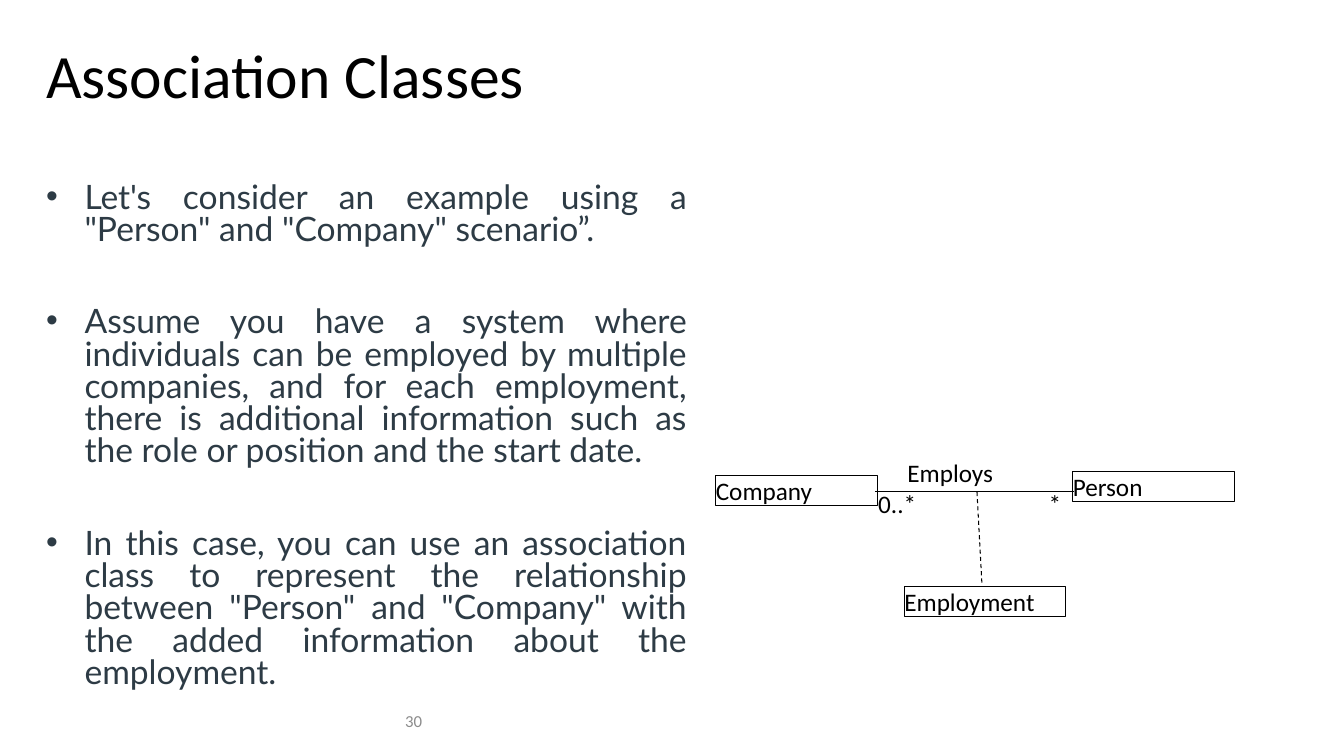
"""Build the Association Classes slide with its small class diagram."""
from dataclasses import dataclass

from lxml.etree import SubElement
from pptx import Presentation
from pptx.dml.color import RGBColor
from pptx.enum.dml import MSO_LINE_DASH_STYLE as Dash
from pptx.enum.shapes import MSO_CONNECTOR as Connector, MSO_SHAPE as Preset
from pptx.enum.text import MSO_ANCHOR as Anchor, PP_ALIGN as Align
from pptx.oxml.ns import qn
from pptx.shapes.base import BaseShape
from pptx.slide import Slide
from pptx.text.text import TextFrame, _Paragraph as Paragraph
from pptx.util import Inches, Pt


@dataclass(frozen=True)
class TextStyle:
    font: str
    size: float
    color: RGBColor


@dataclass(frozen=True)
class Theme:
    black: RGBColor = RGBColor(0, 0, 0)
    title: TextStyle = TextStyle("Calibri", 44, RGBColor(0, 0, 0))
    body: TextStyle = TextStyle("Lato", 24, RGBColor(0x2D, 0x3B, 0x45))
    diagram: TextStyle = TextStyle("Calibri", 18, RGBColor(0, 0, 0))
    number: TextStyle = TextStyle("Calibri", 12, RGBColor(0x8C, 0x8C, 0x8C))
    line_width: float = 0.75
    bullet_gap: float = 43
    bullet_indent: float = 0.38


@dataclass(frozen=True)
class Box:
    text: str
    left: float
    top: float
    width: float = 1.6
    height: float = 0.3


@dataclass(frozen=True)
class Link:
    start: tuple[float, float]
    end: tuple[float, float]
    dashed: bool = False


THEME = Theme()
TITLE = Box("Association Classes", 0.36, 0.05, 11.5, 1.45)
NUMBER = Box("30", 3.92, 6.95, 3, 0.4)
CLASSES = [
    Box("Company", 7.1, 4.72),
    Box("Person", 10.64, 4.68),
    Box("Employment", 8.97, 5.82),
]
LABELS = [
    Box("Employs", 9, 4.54, 1),
    Box("0..*", 8.71, 4.84, 0.6),
    Box("*", 10.4, 4.84, 0.2),
]
LINKS = [
    Link((8.68, 4.88), (10.65, 4.88)),
    Link((9.69, 4.88), (9.74, 5.81), dashed=True),
]
BULLETS = [
    "Let's consider an example using a \"Person\" and \"Company\" scenario”.",
    "Assume you have a system where individuals can be employed by multiple "
    "companies, and for each employment, there is additional information such "
    "as the role or position and the start date.",
    "In this case, you can use an association class to represent the "
    "relationship between \"Person\" and \"Company\" with the added information "
    "about the employment.",
]


def style_paragraph(paragraph: Paragraph, style: TextStyle) -> None:
    """Apply a text style to every run of a paragraph."""
    for run in paragraph.runs:
        run.font.name = style.font
        run.font.size = Pt(style.size)
        run.font.color.rgb = style.color


def fill_text(shape: BaseShape, text: str, style: TextStyle) -> Paragraph:
    """Write one left-aligned paragraph into a shape."""
    shape.text_frame.text = text
    paragraph = shape.text_frame.paragraphs[0]
    paragraph.alignment = Align.LEFT
    style_paragraph(paragraph, style)
    return paragraph


def remove_margins(frame: TextFrame) -> None:
    """Set all insets of a text frame to zero."""
    frame.margin_left = frame.margin_right = Inches(0)
    frame.margin_top = frame.margin_bottom = Inches(0)


def add_text(slide: Slide, box: Box, style: TextStyle) -> BaseShape:
    """Add a wrapping text box."""
    shape = slide.shapes.add_textbox(
        Inches(box.left), Inches(box.top), Inches(box.width), Inches(box.height))
    shape.text_frame.word_wrap = True
    fill_text(shape, box.text, style)
    return shape


def add_class(slide: Slide, box: Box) -> None:
    """Add an outlined class rectangle."""
    shape = slide.shapes.add_shape(
        Preset.RECTANGLE, Inches(box.left), Inches(box.top),
        Inches(box.width), Inches(box.height))
    shape.shadow.inherit = False
    shape.fill.background()
    shape.line.color.rgb = THEME.black
    shape.line.width = Pt(THEME.line_width)
    remove_margins(shape.text_frame)
    shape.text_frame.vertical_anchor = Anchor.TOP
    fill_text(shape, box.text, THEME.diagram)


def add_label(slide: Slide, box: Box) -> None:
    """Add an association label without insets."""
    remove_margins(add_text(slide, box, THEME.diagram).text_frame)


def add_link(slide: Slide, link: Link) -> None:
    """Add a solid or dashed connector."""
    ends = [Inches(value) for value in (*link.start, *link.end)]
    connector = slide.shapes.add_connector(Connector.STRAIGHT, *ends)
    connector.line.color.rgb = THEME.black
    connector.line.width = Pt(THEME.line_width)
    if link.dashed:
        connector.line.dash_style = Dash.DASH
    SubElement(connector._element.spPr, qn("a:effectLst"))


def add_bullets(slide: Slide) -> None:
    """Add the justified bullet list."""
    shape = slide.shapes.add_textbox(
        Inches(0.36), Inches(1.77), Inches(6.55), Inches(5.18))
    frame = shape.text_frame
    frame.word_wrap = True
    for index, text in enumerate(BULLETS):
        paragraph = frame.add_paragraph() if index else frame.paragraphs[0]
        paragraph.text = text
        properties = paragraph._p.get_or_add_pPr()
        properties.set("marL", str(Inches(THEME.bullet_indent)))
        properties.set("indent", str(-Inches(THEME.bullet_indent)))
        SubElement(properties, qn("a:buFont"), typeface="Arial")
        SubElement(properties, qn("a:buChar"), char="•")
        paragraph.alignment = Align.JUSTIFY
        paragraph.line_spacing = 0.8
        if index:
            paragraph.space_before = Pt(THEME.bullet_gap)
        style_paragraph(paragraph, THEME.body)


def main() -> None:
    """Build and save the presentation."""
    presentation = Presentation()
    presentation.slide_width = Inches(13.33)
    presentation.slide_height = Inches(7.5)
    slide = presentation.slides.add_slide(presentation.slide_layouts[6])

    number = add_text(slide, NUMBER, THEME.number)
    title = add_text(slide, TITLE, THEME.title)
    for shape in (number, title):
        shape.text_frame.vertical_anchor = Anchor.MIDDLE
    title.text_frame.paragraphs[0].line_spacing = 0.9

    for box in CLASSES:
        add_class(slide, box)
    for link in LINKS:
        add_link(slide, link)
    for box in LABELS:
        add_label(slide, box)
    add_bullets(slide)
    presentation.save("out.pptx")


if __name__ == "__main__":
    main()
